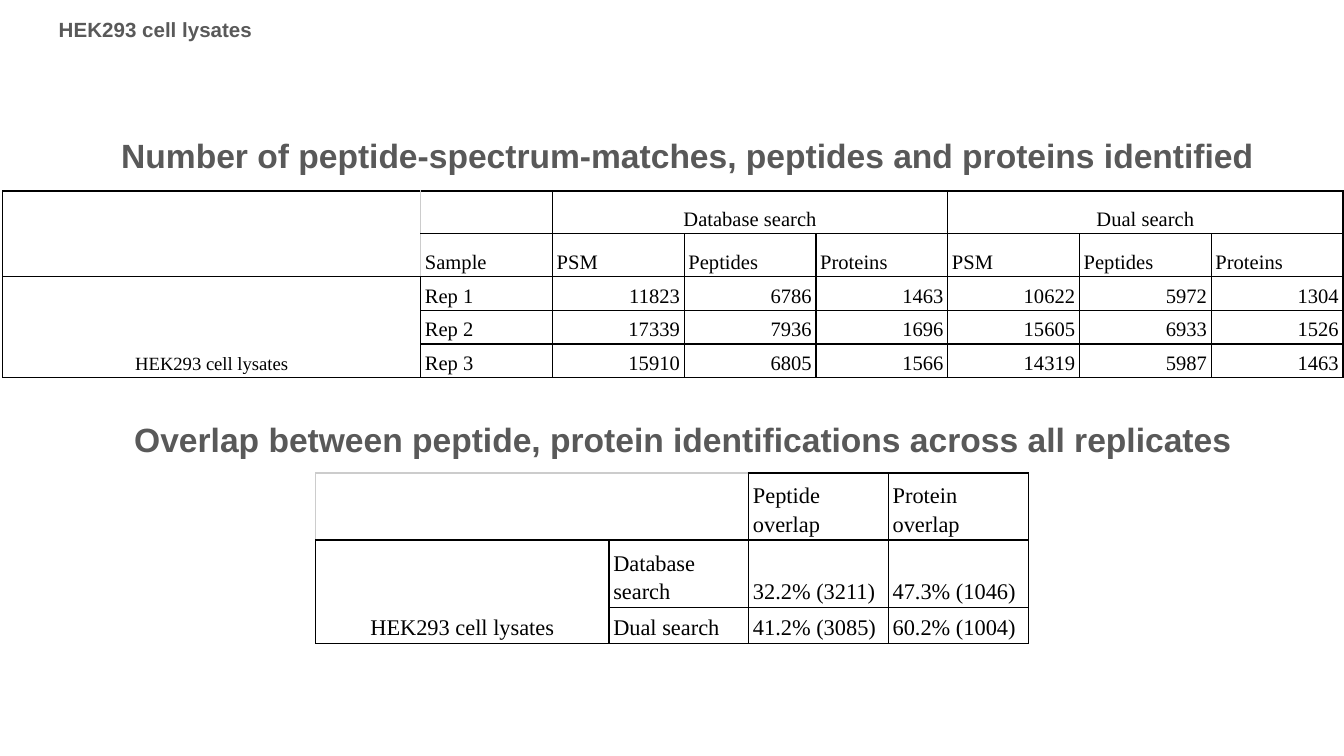
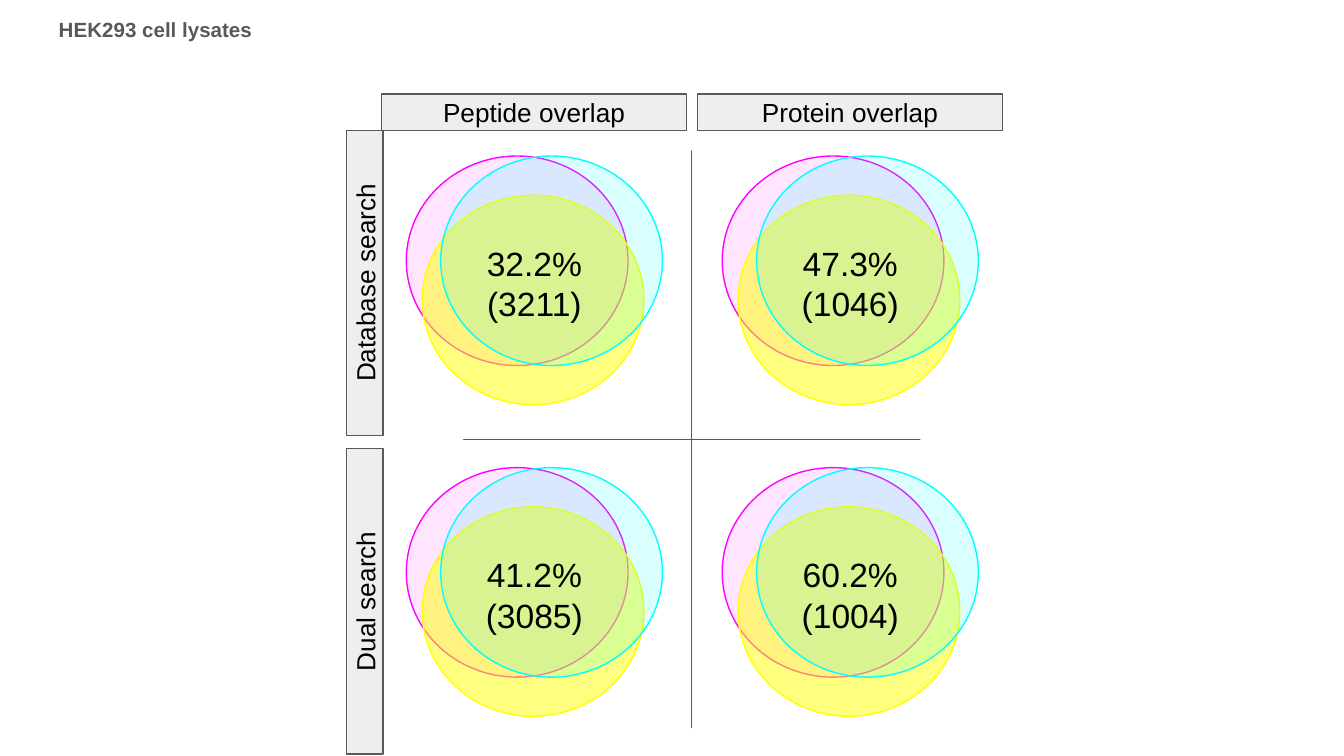
from lxml.etree import SubElement
from pptx import Presentation
from pptx.dml.color import RGBColor
from pptx.enum.shapes import MSO_SHAPE as SHAPE
from pptx.enum.text import MSO_ANCHOR as ANCHOR, MSO_AUTO_SIZE as FIT, PP_ALIGN as ALIGN
from pptx.oxml.ns import qn
from pptx.util import Cm, Pt

BLACK = RGBColor(0x00, 0x00, 0x00)
WHITE = RGBColor(0xFF, 0xFF, 0xFF)
GRAY = RGBColor(0x59, 0x59, 0x59)
PALE = RGBColor(0xEE, 0xEE, 0xEE)
RULE = RGBColor(0xCC, 0xCC, 0xCC)
MAGENTA = RGBColor(0xFF, 0x00, 0xFF)
YELLOW = RGBColor(0xFF, 0xFF, 0x00)
CYAN = RGBColor(0x00, 0xFF, 0xFF)
SANS = "Arial"
SERIF = "Times New Roman"


def write(frame, lines, size, color=BLACK, font=SANS, bold=False, align=ALIGN.CENTER,
          anchor=ANCHOR.TOP, fit=FIT.NONE):
    frame.word_wrap = True
    frame.auto_size = fit
    frame.vertical_anchor = anchor
    frame.margin_left = frame.margin_right = Cm(0.25)
    frame.margin_top = frame.margin_bottom = Cm(0.25)
    for number, line in enumerate(lines):
        paragraph = frame.add_paragraph() if number else frame.paragraphs[0]
        paragraph.alignment = align
        run = paragraph.add_run()
        run.text = line
        run.font.name = font
        run.font.size = Pt(size)
        run.font.bold = bold
        run.font.color.rgb = color


def outline(shape, fill, line):
    shape.shadow.inherit = False
    shape.fill.solid()
    shape.fill.fore_color.rgb = fill
    shape.line.color.rgb = line
    shape.line.width = Pt(0.75)


deck = Presentation()
deck.slide_width = Cm(25.4)
deck.slide_height = Cm(14.29)

counts, venns = [deck.slides.add_slide(deck.slide_layouts[5]) for _ in range(2)]
for slide in (counts, venns):
    title = slide.shapes.title
    title.left, title.top, title.width, title.height = Cm(0.86), Cm(0.08), Cm(10.36), Cm(0.64)
    title.fill.solid()
    title.fill.fore_color.rgb = WHITE
    write(title.text_frame, ["HEK293 cell lysates"], 11, GRAY, bold=True, align=ALIGN.LEFT)

headings = [
    (2.31, "Number of peptide-spectrum-matches, peptides and proteins identified"),
    (7.67, "Overlap between peptide, protein identifications across all replicates "),
]
for top, heading in headings:
    box = counts.shapes.add_textbox(Cm(1.52), Cm(top), Cm(22.96), Cm(1.27))
    write(box.text_frame, [heading], 18, GRAY, bold=True, fit=FIT.SHAPE_TO_FIT_TEXT)

measures = ["PSM", "Peptides", "Proteins"]
identified = {
    "left": 0.05, "top": 3.61, "size": 11,
    "widths": [7.9] + [2.49] * 7,
    "heights": [0.81] * 2 + [0.6] * 3,
    "rows": [
        [None, None, "Database search", None, None, "Dual search", None, None],
        [None, "Sample"] + measures * 2,
        ["HEK293 cell lysates", "Rep 1", 11823, 6786, 1463, 10622, 5972, 1304],
        [None, "Rep 2", 17339, 7936, 1696, 15605, 6933, 1526],
        [None, "Rep 3", 15910, 6805, 1566, 14319, 5987, 1463],
    ],
    "merges": [(0, 0, 1, 0), (0, 2, 0, 4), (0, 5, 0, 7), (2, 0, 4, 0)],
    "faint": {(0, 0): "R", (1, 0): "R", (0, 1): "L", (1, 1): "L"},
    "lysate_size": 10,
}
overlap = {
    "left": 5.97, "top": 8.94, "size": 12,
    "widths": [5.54] + [2.64] * 3,
    "heights": [1.19, 1.19, 0.65],
    "rows": [
        [None, None, "Peptide overlap", "Protein overlap"],
        ["HEK293 cell lysates", "Database search", "32.2% (3211)", "47.3% (1046)"],
        [None, "Dual search", "41.2% (3085)", "60.2% (1004)"],
    ],
    "merges": [(0, 0, 0, 1), (1, 0, 2, 0)],
    "faint": {(0, 0): "LT", (0, 1): "T"},
    "lysate_size": 12,
}
for plan in (identified, overlap):
    widths, heights, rows = plan["widths"], plan["heights"], plan["rows"]
    table = counts.shapes.add_table(
        len(rows), len(widths), Cm(plan["left"]), Cm(plan["top"]),
        Cm(sum(widths)), Cm(sum(heights))).table
    table.first_row = table.horz_banding = False
    for column, width in zip(table.columns, widths):
        column.width = Cm(width)
    for row, height in zip(table.rows, heights):
        row.height = Cm(height)
    for top, left, bottom, right in plan["merges"]:
        table.cell(top, left).merge(table.cell(bottom, right))
    for r, row in enumerate(rows):
        for c, value in enumerate(row):
            cell = table.cell(r, c)
            properties = cell._tc.get_or_add_tcPr()
            for side in "LRTB":
                color = RULE if side in plan["faint"].get((r, c), "") else BLACK
                edge = SubElement(properties, qn(f"a:ln{side}"), w=str(Pt(0.75)))
                SubElement(SubElement(edge, qn("a:solidFill")), qn("a:srgbClr"), val=str(color))
            cell.fill.background()
            if value is None:
                paragraph = cell.text_frame.paragraphs[0]
                SubElement(paragraph._p, qn("a:endParaRPr"), sz=str(plan["size"] * 100))
            else:
                spans = cell.is_merge_origin
                align = (ALIGN.CENTER if spans else
                         ALIGN.RIGHT if isinstance(value, int) else ALIGN.LEFT)
                size = plan["lysate_size"] if spans and c == 0 else plan["size"]
                write(cell.text_frame, [str(value)], size, font=SERIF, align=align)
                cell.text_frame.paragraphs[0].line_spacing = 1.15
            cell.vertical_anchor = ANCHOR.BOTTOM
            cell.margin_left = cell.margin_right = Cm(0.08)
            cell.margin_top = cell.margin_bottom = Cm(0.05)

COLUMN_STEP, ROW_STEP, LABEL_STEP = 5.97, 5.89, 6.02
replicates = [(0, 0, MAGENTA, 10), (0.3, 0.74, YELLOW, 50), (0.65, 0, CYAN, 15)]
shares = [
    [("32.2%", "(3211)"), ("47.3%", "(1046)")],
    [("41.2%", "(3085)"), ("60.2%", "(1004)")],
]
for r, row in enumerate(shares):
    for c, share in enumerate(row):
        across, down = c * COLUMN_STEP, r * ROW_STEP
        venn = venns.shapes.add_group_shape()
        for dx, dy, color, opacity in replicates:
            circle = venn.shapes.add_shape(
                SHAPE.OVAL, Cm(7.68 + across + dx), Cm(2.95 + down + dy), Cm(4.19), Cm(3.96))
            outline(circle, color, color)
            tint = circle.fill._xPr.find(qn("a:solidFill"))[0]
            SubElement(tint, qn("a:alpha"), val=str(opacity * 1000))
        box = venns.shapes.add_textbox(Cm(8.74 + across), Cm(4.34 + down), Cm(2.72), Cm(1.93))
        write(box.text_frame, share, 18)

labels = [
    ("Peptide overlap", 7.21, 1.78, 0),
    ("Protein overlap", 7.21 + COLUMN_STEP, 1.78, 0),
    ("Database search", 4.01, 5, 270),
    ("Dual search", 4.01, 5 + LABEL_STEP, 270),
]
for label, left, top, turn in labels:
    band = venns.shapes.add_shape(SHAPE.RECTANGLE, Cm(left), Cm(top), Cm(5.77), Cm(0.69))
    band.rotation = turn
    outline(band, PALE, GRAY)
    write(band.text_frame, [label], 14, anchor=ANCHOR.MIDDLE)

divider = venns.shapes.add_shape(SHAPE.MATH_PLUS, Cm(7.21), Cm(0.89), Cm(11.73), Cm(14.83))
divider.adjustments[0] = 0
outline(divider, PALE, GRAY)

deck.save("out.pptx")
